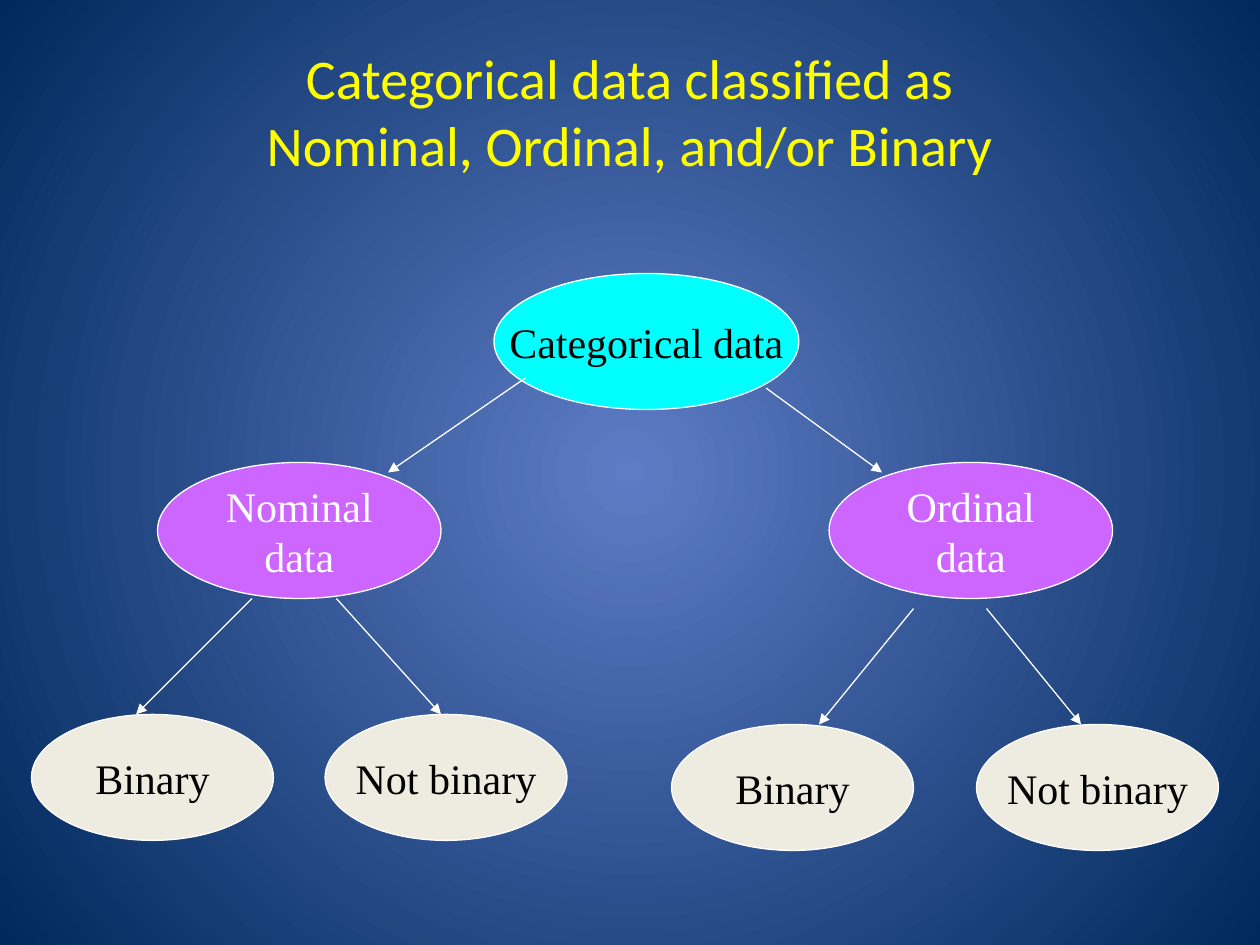
from pptx import Presentation
from pptx.dml.color import RGBColor
from pptx.enum.shapes import MSO_CONNECTOR, MSO_SHAPE
from pptx.enum.text import MSO_ANCHOR, PP_ALIGN
from pptx.oxml import parse_xml
from pptx.oxml.ns import nsdecls, qn
from pptx.util import Inches, Pt

OVAL = MSO_SHAPE.OVAL
LINE = MSO_CONNECTOR.STRAIGHT
MIDDLE = MSO_ANCHOR.MIDDLE
CENTER = PP_ALIGN.CENTER

WHITE, BLACK, YELLOW = "FFFFFF", "000000", "FFFF00"
CYAN, PURPLE, CREAM = "00FFFF", "CC66FF", "EEECE1"


def color(code):
    return RGBColor.from_string(code)


class Tree:
    def __init__(self, slide):
        self.slide = slide
        self.shapes = slide.shapes

    def back(self, inner, outer):
        fill = self.slide.background.fill
        fill.gradient()
        for stop, code in zip(fill.gradient_stops, (inner, outer)):
            stop.color.rgb = color(code)
        # Turn the linear gradient into a radial one
        lin = next(self.slide.element.iter(qn("a:lin")))
        lin.getparent().replace(lin, parse_xml(
            f'<a:path {nsdecls("a")} path="circle"><a:fillToRect '
            'l="50000" t="50000" r="50000" b="50000"/></a:path>'))

    def label(self, shape, paras, font, size, code, wrap):
        frame = shape.text_frame
        frame.word_wrap = wrap
        frame.vertical_anchor = MIDDLE
        for i, text in enumerate(paras):
            para = frame.add_paragraph() if i else frame.paragraphs[0]
            para.text = text
            para.alignment = CENTER
            para.font.name = font
            para.font.size = Pt(size)
            para.font.color.rgb = color(code)

    def title(self, text, *box):
        shape = self.shapes.add_textbox(*map(Inches, box))
        self.label(shape, [text], "Calibri", 32, YELLOW, True)

    def node(self, paras, box, fill, code=BLACK):
        shape = self.shapes.add_shape(OVAL, *map(Inches, box))
        shape.shadow.inherit = False
        shape.fill.solid()
        shape.fill.fore_color.rgb = color(fill)
        self.stroke(shape.line)
        self.label(shape, paras, "Times New Roman", 24, code, False)

    def stroke(self, line):
        line.color.rgb = color(WHITE)
        line.width = Pt(0.75)

    def arrow(self, *ends):
        link = self.shapes.add_connector(LINE, *map(Inches, ends))
        self.stroke(link.line)
        props = link.element.spPr
        props.find(qn("a:ln")).append(
            parse_xml(f'<a:tailEnd {nsdecls("a")} type="triangle"/>'))
        props.append(parse_xml(f'<a:effectLst {nsdecls("a")}/>'))


def main():
    deck = Presentation()
    deck.slide_width, deck.slide_height = Inches(10), Inches(7.5)
    tree = Tree(deck.slides.add_slide(deck.slide_layouts[6]))
    tree.back("5E7CC5", "00295C")
    tree.title("Categorical data classified as\nNominal, Ordinal, and/or Binary",
               0.5, 0.25, 9, 1.25)

    # Root
    tree.node(["Categorical data"], (3.92, 2.17, 2.42, 1.08), CYAN)

    # Two data types
    for name, left in (("Nominal", 1.25), ("Ordinal", 6.58)):
        tree.node([name, "data"], (left, 3.67, 2.25, 1.08), PURPLE, WHITE)

    # Leaves under each type
    for top, lefts in ((5.67, (0.25, 2.58)), (5.75, (5.33, 7.75))):
        for name, left in zip(("Binary", "Not binary"), lefts):
            tree.node([name], (left, top, 1.92, 1), CREAM)

    # Arrows: root to types, then types to leaves
    for ends in ((4.17, 3, 3.08, 3.75), (6.08, 3.08, 7, 3.75),
                 (2, 4.75, 1.08, 5.67), (2.67, 4.75, 3.5, 5.67),
                 (7.25, 4.83, 6.5, 5.75), (7.83, 4.83, 8.58, 5.75)):
        tree.arrow(*ends)

    deck.save("out.pptx")


if __name__ == "__main__":
    main()
